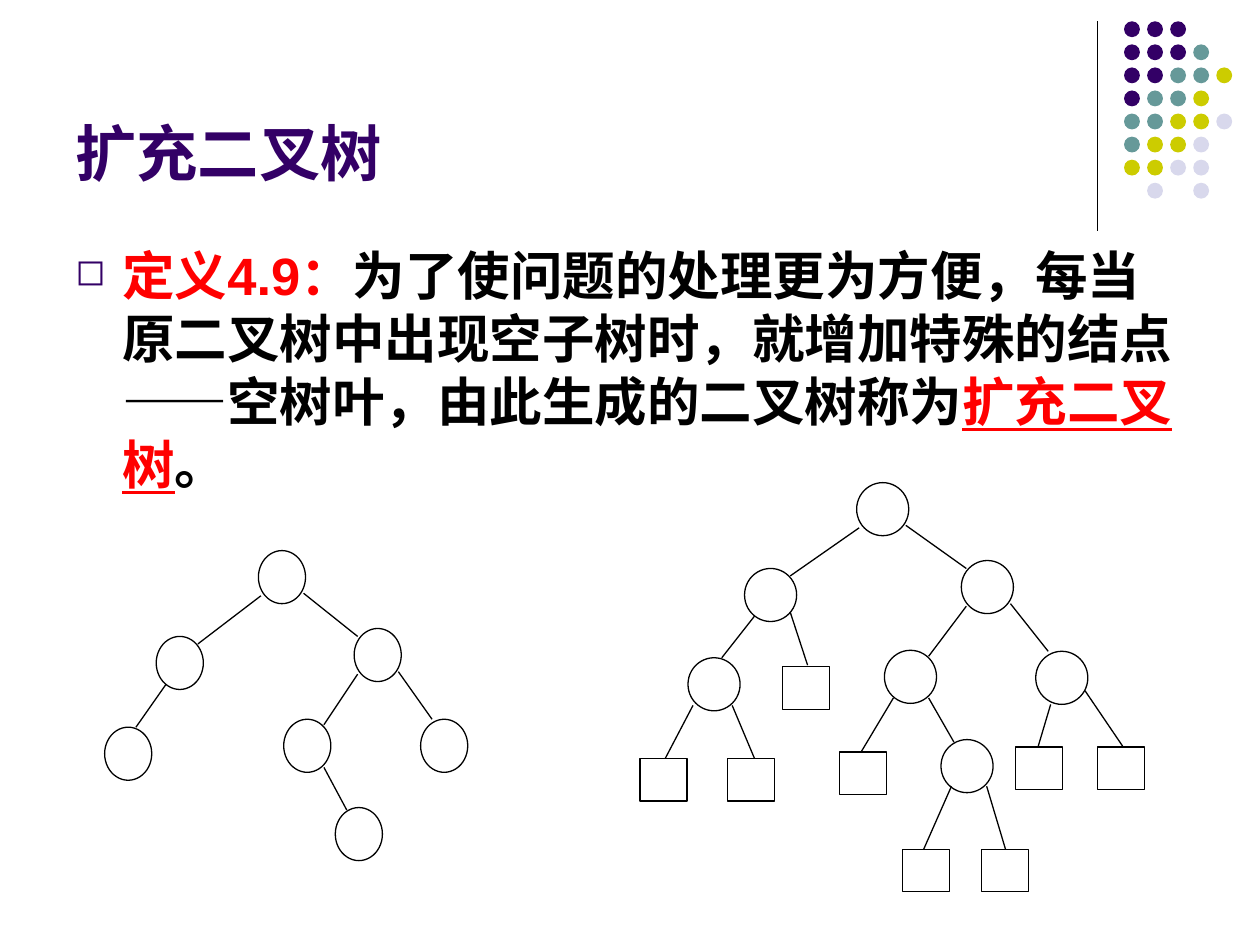
from lxml import etree
from pptx import Presentation
from pptx.dml.color import RGBColor
from pptx.enum.shapes import MSO_CONNECTOR, MSO_SHAPE
from pptx.enum.text import MSO_ANCHOR
from pptx.oxml.ns import qn
from pptx.util import Cm, Pt

OVAL, RECT = MSO_SHAPE.OVAL, MSO_SHAPE.RECTANGLE
LINE = MSO_CONNECTOR.STRAIGHT
BOTTOM, TOP = MSO_ANCHOR.BOTTOM, MSO_ANCHOR.TOP

PURPLE = RGBColor(0x33, 0x00, 0x66)
TEAL = RGBColor(0x66, 0x99, 0x99)
LIME = RGBColor(0xCC, 0xCC, 0x00)
PALE = RGBColor(0xD8, 0xD8, 0xEC)
RED = RGBColor(0xFF, 0x00, 0x00)
BLACK = RGBColor(0x00, 0x00, 0x00)
WHITE = RGBColor(0xFF, 0xFF, 0xFF)

TITLE = "扩充二叉树"
# text, colour, underlined
BODY = [
    ("定义4.9：", RED, False),
    ("为了使问题的处理更为方便，每当原二叉树中出现空子树时，就增加特殊的结点"
     "——空树叶，由此生成的二叉树称为", BLACK, False),
    ("扩充二叉树", RED, True),
    ("。", BLACK, False),
]

DOTS = ["PPP", "PPPT", "PPTTL", "PTTL", "TTLLW", "TLLW", "LLWW", " W W"]
HUES = {"P": PURPLE, "T": TEAL, "L": LIME, "W": PALE}
DOT, STEP = 0.32, 0.465
DOT_X, DOT_Y = 22.66, 0.43

# All tree measures are in cm: nodes and leaves by left and top corner,
# edges by both ends.
TREES = [
    {
        "size": (0.95, 1.07),
        "nodes": [(5.21, 11.1), (3.15, 12.83), (2.11, 14.66), (7.14, 12.67),
                  (5.72, 14.5), (8.48, 14.5), (6.76, 16.28)],
        "edges": [(5.26, 12.01, 3.99, 12.98), (3.35, 13.79, 2.74, 14.66),
                  (6.12, 11.96, 7.21, 12.83), (7.21, 13.59, 6.53, 14.61),
                  (8.03, 13.54, 8.71, 14.5), (6.53, 15.47, 6.99, 16.33)],
        "leaves": [],
    },
    {
        "size": (1.05, 1.07),
        "nodes": [(17.27, 9.73), (15.01, 11.46), (13.87, 13.26), (19.38, 11.3),
                  (17.83, 13.11), (20.88, 13.13), (18.97, 14.91)],
        "edges": [(17.32, 10.64, 15.93, 11.61), (15.21, 12.42, 14.55, 13.26),
                  (18.26, 10.59, 19.48, 11.46), (19.48, 12.22, 18.72, 13.23),
                  (20.37, 12.17, 21.13, 13.13), (18.72, 14.07, 19.23, 14.96),
                  (13.97, 14.22, 13.41, 15.29), (14.76, 14.22, 15.21, 15.29),
                  (15.93, 12.34, 16.28, 13.41), (18.01, 14.07, 17.37, 15.14),
                  (19.18, 15.85, 18.62, 17.12), (19.89, 15.85, 20.27, 17.12),
                  (21.18, 14.2, 20.93, 15.04), (21.87, 13.92, 22.63, 15.04)],
        "leaves": [(12.9, 15.29), (14.66, 15.29), (18.19, 17.12),
                   (19.79, 17.12), (16.92, 15.16), (22.12, 15.06),
                   (20.47, 15.06), (15.77, 13.44)],
    },
]
LEAF = (0.95, 0.86)


def add_node(slide, kind, spot, size, fill, edge=None):
    node = slide.shapes.add_shape(kind, *map(Cm, (*spot, *size)))
    node.shadow.inherit = False
    node.fill.solid()
    node.fill.fore_color.rgb = fill
    if edge is None:
        node.line.fill.background()
    else:
        node.line.color.rgb = edge
        node.line.width = Pt(0.75)


def add_line(slide, ends):
    line = slide.shapes.add_connector(LINE, *map(Cm, ends))
    line.line.color.rgb = BLACK
    line.line.width = Pt(0.75)
    etree.SubElement(line._element.spPr, qn("a:effectLst"))


def add_text(slide, box, anchor):
    """Add a wrapped text box and return its first paragraph."""
    frame = slide.shapes.add_textbox(*map(Cm, box)).text_frame
    frame.word_wrap = True
    frame.vertical_anchor = anchor
    return frame.paragraphs[0]


def add_bullet(para, char, color, scale, indent):
    props = para._p.get_or_add_pPr()
    props.set("marL", str(Cm(indent)))
    props.set("indent", str(-Cm(indent)))
    hue = etree.SubElement(props, qn("a:buClr"))
    etree.SubElement(hue, qn("a:srgbClr"), val=str(color))
    etree.SubElement(props, qn("a:buSzPct"), val=str(scale * 1000))
    etree.SubElement(props, qn("a:buChar"), char=char)


def set_font(para, name, size):
    para.font.name = name
    para.font.size = Pt(size)
    para.font.bold = True


def main():
    deck = Presentation()
    deck.slide_width, deck.slide_height = Cm(25.4), Cm(19.05)
    slide = deck.slides.add_slide(deck.slide_layouts[6])

    add_line(slide, (22.12, 0.43, 22.12, 4.65))
    for row, marks in enumerate(DOTS):
        for col, mark in enumerate(marks):
            if mark in HUES:
                spot = (DOT_X + col * STEP, DOT_Y + row * STEP)
                add_node(slide, OVAL, spot, (DOT, DOT), HUES[mark])

    title = add_text(slide, (1.27, 0.33, 20.96, 3.6), BOTTOM)
    title.text = TITLE
    set_font(title, "Times New Roman", 35)
    title.font.color.rgb = PURPLE

    body = add_text(slide, (1.27, 4.78, 22.86, 12.24), TOP)
    add_bullet(body, "◻", PURPLE, 70, 0.95)
    set_font(body, "Arial", 30)
    for text, color, under in BODY:
        run = body.add_run()
        run.text = text
        run.font.color.rgb = color
        if under:
            run.font.underline = True

    for tree in TREES:
        for spot in tree["nodes"]:
            add_node(slide, OVAL, spot, tree["size"], WHITE, BLACK)
        for spot in tree["leaves"]:
            add_node(slide, RECT, spot, LEAF, WHITE, BLACK)
        for ends in tree["edges"]:
            add_line(slide, ends)

    deck.save("out.pptx")


if __name__ == "__main__":
    main()
